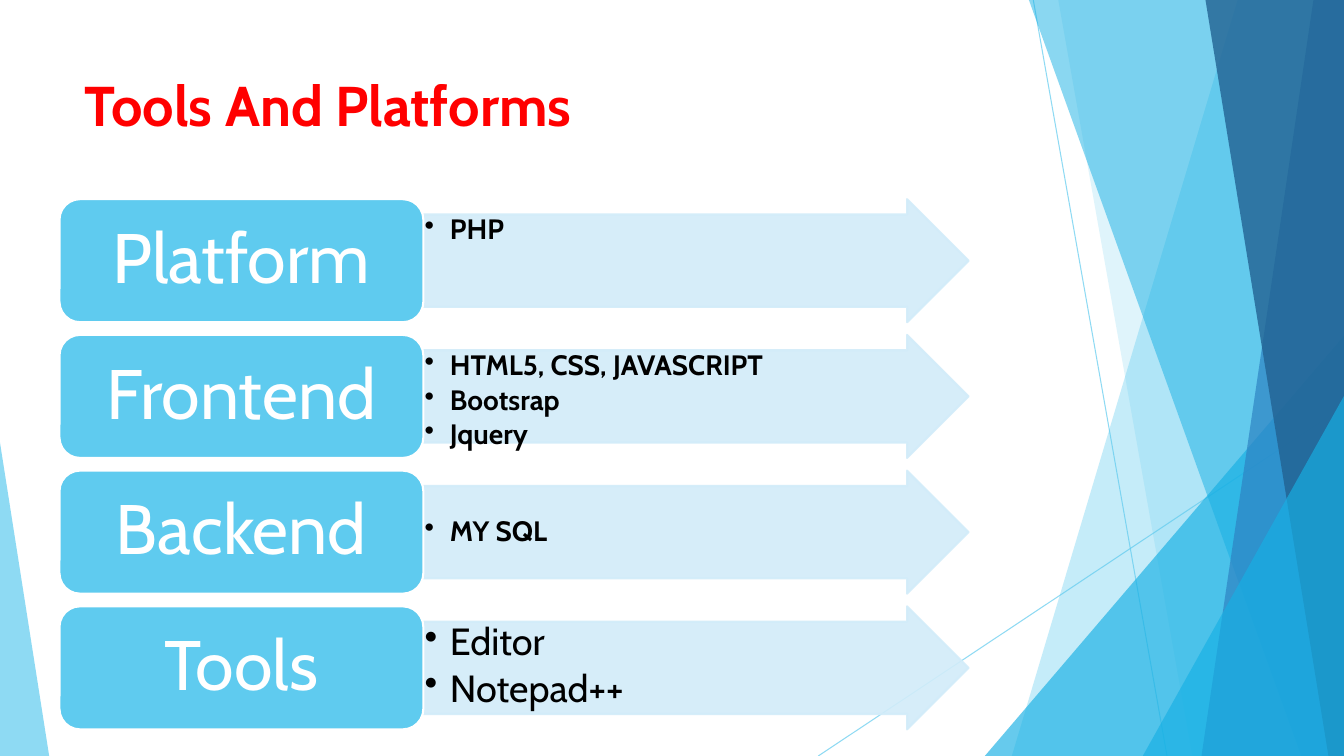
from lxml.etree import SubElement as Sub
from pptx import Presentation
from pptx.dml.color import RGBColor as Rgb
from pptx.enum.shapes import MSO_CONNECTOR as Link, MSO_SHAPE as Form
from pptx.enum.text import MSO_ANCHOR as Anchor, PP_ALIGN as Align
from pptx.oxml.ns import qn
from pptx.util import Cm, Pt

WIDE, HIGH = 33.87, 19.05
HUES = {
    "sky": "5FCBEF", "cyan": "17B0E4", "blue": "2E83C3", "navy": "226292",
    "pale": "D2ECF9", "white": "FFFFFF", "black": "000000", "red": "FF0000",
}


def write(frame, text, size, hue, bold=False, font="Cabin", align=Align.LEFT,
          anchor=Anchor.TOP, pad=(0, 0), bullet=False, wrap=True):
    """Fill a text frame, one paragraph for each line of text."""
    frame.word_wrap = wrap
    frame.vertical_anchor = anchor
    frame.margin_left = frame.margin_right = Cm(pad[0])
    frame.margin_top = frame.margin_bottom = Cm(pad[1])
    for row, line in enumerate(text.split("\n")):
        par = frame.paragraphs[0] if row == 0 else frame.add_paragraph()
        par.alignment = align
        par.line_spacing = 0.9
        if bullet:
            par.space_after = Pt(round(0.15 * size))
            props = par._p.get_or_add_pPr()
            props.set("marL", str(Cm(0.64)))
            props.set("indent", str(-Cm(0.64)))
            Sub(props, qn("a:buChar")).set("char", "•")
        run = par.add_run()
        run.text = line
        run.font.name, run.font.size, run.font.bold = font, Pt(size), bold
        run.font.color.rgb = Rgb.from_string(HUES[hue])


class Deck:
    def __init__(self):
        self.show = Presentation()
        self.show.slide_width, self.show.slide_height = Cm(WIDE), Cm(HIGH)
        self.slide = self.show.slides.add_slide(self.show.slide_layouts[5])
        self.shapes = self.slide.shapes

    def fade(self, item, alpha):
        for tint in item.element.spPr.iter(qn("a:srgbClr")):
            Sub(tint, qn("a:alpha")).set("val", str(alpha * 1000))

    def paint(self, item, hue, alpha=100, edge=None):
        item.shadow.inherit = False
        item.fill.solid()
        item.fill.fore_color.rgb = Rgb.from_string(HUES[hue])
        if edge:
            item.line.color.rgb = Rgb.from_string(HUES[edge])
            item.line.width = Pt(1.5)
        else:
            item.line.fill.background()
        if alpha < 100:
            self.fade(item, alpha)
        return item

    def shape(self, form, box, hue, alpha=100, edge=None, adjust=()):
        item = self.shapes.add_shape(form, *map(Cm, box))
        for spot, value in enumerate(adjust):
            item.adjustments[spot] = value
        return self.paint(item, hue, alpha, edge)

    def wedge(self, box, hue, alpha, peak):
        self.shape(Form.ISOSCELES_TRIANGLE, box, hue, alpha, adjust=[peak])

    def pane(self, top, base, hue, alpha):
        """Four-sided pane that runs to the right edge of the slide."""
        path = self.shapes.build_freeform(Cm(top), 0)
        path.add_line_segments([(Cm(WIDE), 0), (Cm(WIDE), Cm(HIGH)),
                                (Cm(base), Cm(HIGH))], close=True)
        self.paint(path.convert_to_shape(), hue, alpha)

    def line(self, ends, hue, alpha):
        item = self.shapes.add_connector(Link.STRAIGHT, *map(Cm, ends))
        item.line.color.rgb = Rgb.from_string(HUES[hue])
        item.line.width = Pt(0.75)
        Sub(item.element.spPr, qn("a:effectLst"))
        self.fade(item, alpha)

    def title(self, text, box):
        item = self.shapes.title
        item.left, item.top, item.width, item.height = map(Cm, box)
        write(item.text_frame, text, 40, "red", bold=True,
              anchor=Anchor.MIDDLE, pad=(0.25, 0.13))

    def row(self, top, name, tools, size, bold, anchor):
        """Arrow with its list, and the named block at its tail."""
        arrow = self.shape(Form.RIGHT_ARROW, (10.67, top, 13.74, 3.1), "pale",
                           90, "pale", (0.75, 0.5))
        write(arrow.text_frame, tools, size, "black", bold=bold,
              anchor=anchor, pad=(0.03, 0.03), bullet=True)
        block = self.shape(Form.ROUNDED_RECTANGLE, (1.5, top, 9.17, 3.1),
                           "sky", edge="white")
        write(block.text_frame, name, 50, "white", align=Align.CENTER,
              anchor=Anchor.MIDDLE, pad=(0.53, 0.25))


def main():
    deck = Deck()

    # Facets at the slide edges
    deck.line((26.04, 0, 29.41, HIGH), "sky", 70)
    deck.line((WIDE, 10.24, 20.62, HIGH), "sky", 70)
    deck.pane(31.19, 25.5, "sky", 36)
    deck.pane(26.67, 30.05, "sky", 20)
    deck.wedge((24.82, 8.46, 9.05, 10.59), "cyan", 66, 1)
    deck.pane(25.93, 32.79, "cyan", 50)
    deck.pane(33.1, 30.28, "blue", 70)
    deck.pane(30.38, 33.48, "navy", 80)
    deck.wedge((28.8, 9.98, 5.07, 9.07), "cyan", 66, 1)
    deck.wedge((0, 11.15, 1.24, 7.9), "sky", 70, 0)

    # Title
    deck.title("Tools And Platforms", (1.88, 1.7, 23.88, 2.06))

    # One row for each part of the stack
    rows = [
        ("Platform", "PHP", 20, True, Anchor.TOP),
        ("Frontend", "HTML5, CSS, JAVASCRIPT\nBootsrap\nJquery", 20, True,
         Anchor.TOP),
        ("Backend", "MY SQL", 20, True, Anchor.MIDDLE),
        ("Tools", "Editor\nNotepad++", 27, False, Anchor.TOP),
    ]
    for step, parts in enumerate(rows):
        deck.row(5.02 + 3.42 * step, *parts)

    deck.show.save("out.pptx")


if __name__ == "__main__":
    main()
